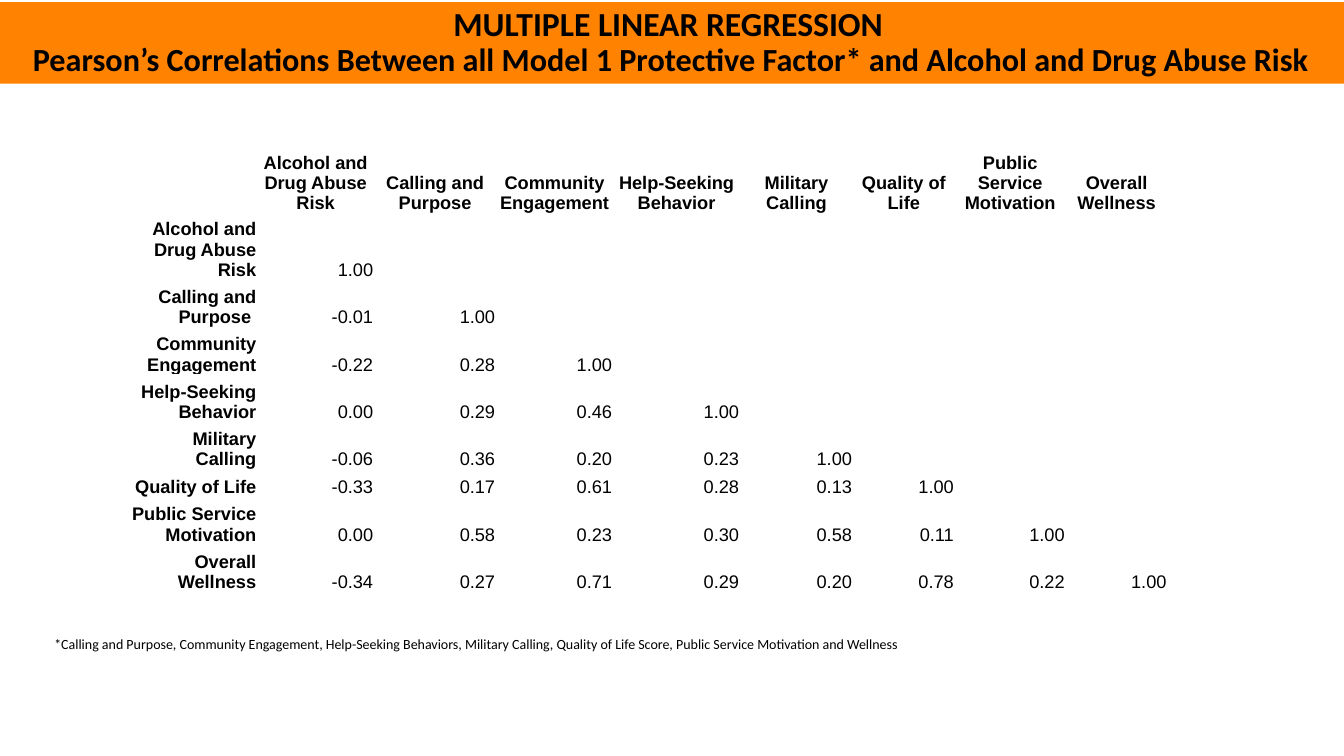
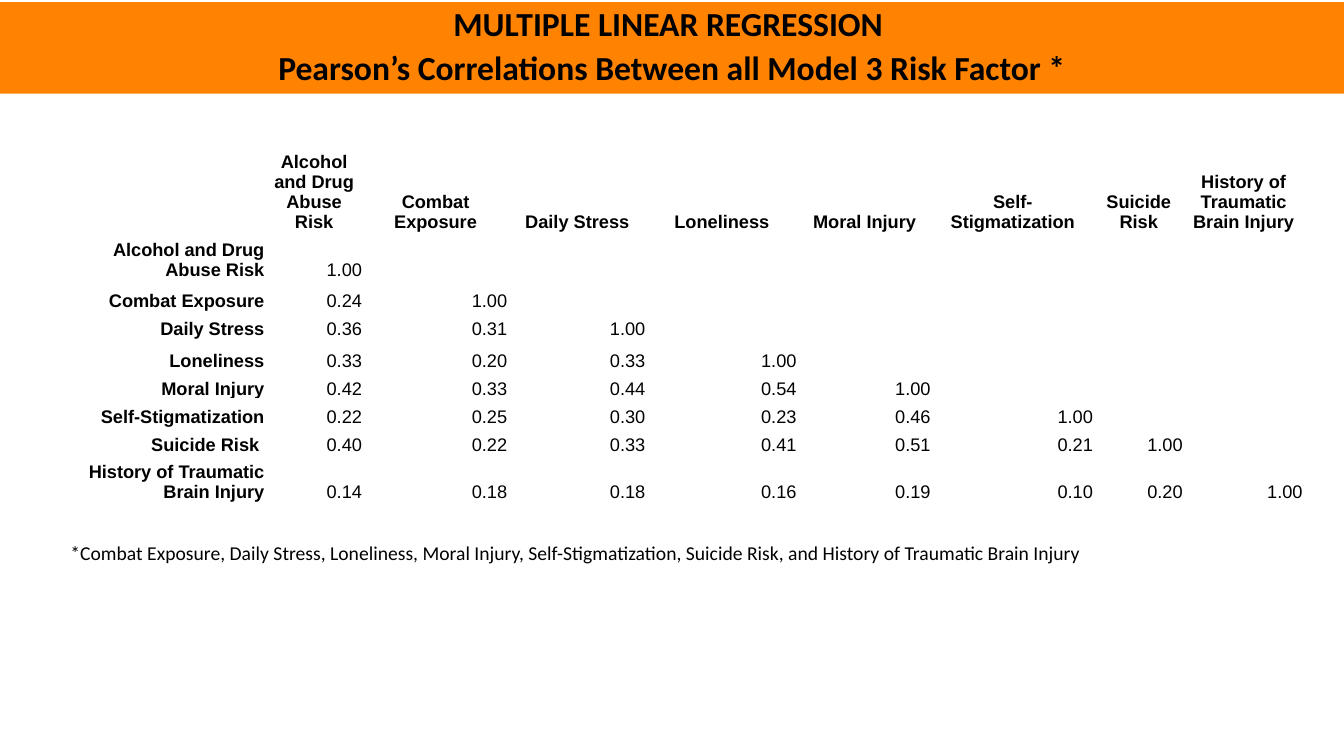
"""Two slides of lower-triangular Pearson correlation tables."""
from dataclasses import dataclass

import lxml.etree
import pptx
import pptx.dml.color
import pptx.enum.text
import pptx.oxml.ns
import pptx.util

Inches = pptx.util.Inches
Align = pptx.enum.text.PP_ALIGN
Anchor = pptx.enum.text.MSO_ANCHOR


@dataclass(frozen=True)
class Theme:
    band: str = "FF8300"
    text: str = "000000"
    heading_font: str = "Calibri"
    table_font: str = "Arial"
    title_size: float = 24
    table_size: float = 13
    band_top: float = 0.02
    table_top: float = 1.43
    slide_width: float = 13.33
    slide_height: float = 7.5


@dataclass(frozen=True)
class Footnote:
    text: str
    box: tuple[float, float, float, float]
    size: float
    wrap: bool


@dataclass(frozen=True)
class CorrelationSlide:
    subtitle: str
    subtitle_size: float
    band_height: float
    title_gap: float
    table_left: float
    column_widths: list[float]
    row_heights: list[float]
    labels: list[str]
    below_diagonal: list[list[float]]
    footnote: Footnote


THEME = Theme()
TITLE = "MULTIPLE LINEAR REGRESSION "

# Slide content
SLIDES = [
    CorrelationSlide(
        subtitle="Pearson’s Correlations Between all Model 1 Protective Factor* "
                 "and Alcohol and Drug Abuse Risk",
        subtitle_size=23,
        band_height=0.81,
        title_gap=0,
        table_left=1.29,
        column_widths=[1.26, 1.16, 1.21, 1.16, 1.26, 1.12, 1.01, 1.1, 1.01],
        row_heights=[0.69, 0.66, 0.47, 0.47, 0.47, 0.47, 0.28, 0.47, 0.47],
        labels=["Alcohol and Drug Abuse Risk", "Calling and Purpose ",
                "Community Engagement", "Help-Seeking Behavior", "Military Calling",
                "Quality of Life", "Public Service Motivation", "Overall Wellness"],
        below_diagonal=[
            [],
            [-0.01],
            [-0.22, 0.28],
            [0.00, 0.29, 0.46],
            [-0.06, 0.36, 0.20, 0.23],
            [-0.33, 0.17, 0.61, 0.28, 0.13],
            [0.00, 0.58, 0.23, 0.30, 0.58, 0.11],
            [-0.34, 0.27, 0.71, 0.29, 0.20, 0.78, 0.22],
        ],
        footnote=Footnote(
            "*Calling and Purpose, Community Engagement, Help-Seeking Behaviors, "
            "Military Calling, Quality of Life Score, Public Service Motivation "
            "and Wellness",
            (0.44, 6.26, 8.69, 0.57), size=10, wrap=False),
    ),
    CorrelationSlide(
        subtitle="Pearson’s Correlations Between all Model 3 Risk Factor *",
        subtitle_size=24,
        band_height=0.91,
        title_gap=6,
        table_left=0.73,
        column_widths=[1.9, 0.97, 1.44, 1.37, 1.5, 1.33, 1.61, 0.89, 1.19],
        row_heights=[0.88, 0.47, 0.31, 0.28, 0.31, 0.28, 0.28, 0.28, 0.47],
        labels=["Alcohol and Drug Abuse Risk", "Combat Exposure", "Daily Stress",
                "Loneliness", "Moral Injury", "Self-Stigmatization", "Suicide Risk ",
                "History of Traumatic Brain Injury"],
        below_diagonal=[
            [],
            [0.24],
            [0.36, 0.31],
            [0.33, 0.20, 0.33],
            [0.42, 0.33, 0.44, 0.54],
            [0.22, 0.25, 0.30, 0.23, 0.46],
            [0.40, 0.22, 0.33, 0.41, 0.51, 0.21],
            [0.14, 0.18, 0.18, 0.16, 0.19, 0.10, 0.20],
        ],
        footnote=Footnote(
            "*Combat Exposure, Daily Stress, Loneliness, Moral Injury, "
            "Self-Stigmatization, Suicide Risk, and History of Traumatic Brain Injury",
            (0.6, 5.32, 10.92, 0.34), size=14, wrap=True),
    ),
]


def write_text(paragraph, text: str, *, size: float, font: str = THEME.heading_font,
               bold: bool = False, align=Align.LEFT, line_spacing: float = 1.0,
               space_after: float = 0) -> None:
    """Write one formatted run into a paragraph."""
    paragraph.alignment = align
    paragraph.line_spacing = line_spacing
    paragraph.space_after = pptx.util.Pt(space_after)
    run = paragraph.add_run()
    run.text = text
    run.font.name = font
    run.font.size = pptx.util.Pt(size)
    run.font.bold = bold
    run.font.color.rgb = pptx.dml.color.RGBColor.from_string(THEME.text)


def place(shape, left: float, top: float, width: float, height: float) -> None:
    shape.left, shape.top = Inches(left), Inches(top)
    shape.width, shape.height = Inches(width), Inches(height)


def add_title_band(slide, content: CorrelationSlide) -> None:
    band = slide.shapes.title
    place(band, 0, THEME.band_top, THEME.slide_width, content.band_height)
    band.fill.solid()
    band.fill.fore_color.rgb = pptx.dml.color.RGBColor.from_string(THEME.band)
    frame = band.text_frame
    frame.word_wrap = True
    frame.auto_size = pptx.enum.text.MSO_AUTO_SIZE.NONE
    frame.vertical_anchor = Anchor.TOP
    lines = [(frame.paragraphs[0], TITLE, THEME.title_size),
             (frame.add_paragraph(), content.subtitle, content.subtitle_size)]
    for paragraph, text, size in lines:
        write_text(paragraph, text, size=size, bold=True, align=Align.CENTER,
                   line_spacing=0.9, space_after=content.title_gap)


def fill_cell(cell, text: str, *, bold: bool, align) -> None:
    cell.fill.background()
    cell.vertical_anchor = Anchor.BOTTOM
    cell.margin_left = cell.margin_right = cell.margin_top = Inches(0.01)
    cell.margin_bottom = 0
    paragraph = cell.text_frame.paragraphs[0]
    if text:
        write_text(paragraph, text, size=THEME.table_size, font=THEME.table_font,
                   bold=bold, align=align)
    else:
        # Keeps an empty cell from stretching its row
        lxml.etree.SubElement(paragraph._p, pptx.oxml.ns.qn("a:endParaRPr"),
                              sz=str(int(THEME.table_size * 100)))


def add_correlation_table(slide, content: CorrelationSlide) -> None:
    count = len(content.labels) + 1
    table = slide.shapes.add_table(
        count, count, Inches(content.table_left), Inches(THEME.table_top),
        Inches(sum(content.column_widths)), Inches(sum(content.row_heights))).table
    table.first_row = table.horz_banding = False
    for column, width in zip(table.columns, content.column_widths):
        column.width = Inches(width)
    for row, height in zip(table.rows, content.row_heights):
        row.height = Inches(height)

    # Header row, then each label with its values up to the diagonal
    rows = [["", *(label.strip() for label in content.labels)]]
    for label, values in zip(content.labels, content.below_diagonal):
        rows.append([label, *(f"{value:.2f}" for value in [*values, 1])])
    for row_index, texts in enumerate(rows):
        texts += [""] * (count - len(texts))
        for column_index, text in enumerate(texts):
            fill_cell(table.cell(row_index, column_index), text,
                      bold=row_index == 0 or column_index == 0,
                      align=Align.CENTER if row_index == 0 else Align.RIGHT)


def add_footnote(slide, footnote: Footnote) -> None:
    box = slide.shapes.add_textbox(*map(Inches, footnote.box))
    box.text_frame.word_wrap = footnote.wrap
    write_text(box.text_frame.paragraphs[0], footnote.text, size=footnote.size)


def main() -> None:
    presentation = pptx.Presentation()
    presentation.slide_width = Inches(THEME.slide_width)
    presentation.slide_height = Inches(THEME.slide_height)
    title_only = presentation.slide_layouts.get_by_name("Title Only")
    for content in SLIDES:
        slide = presentation.slides.add_slide(title_only)
        add_title_band(slide, content)
        add_correlation_table(slide, content)
        add_footnote(slide, content.footnote)
    presentation.save("out.pptx")


if __name__ == "__main__":
    main()
